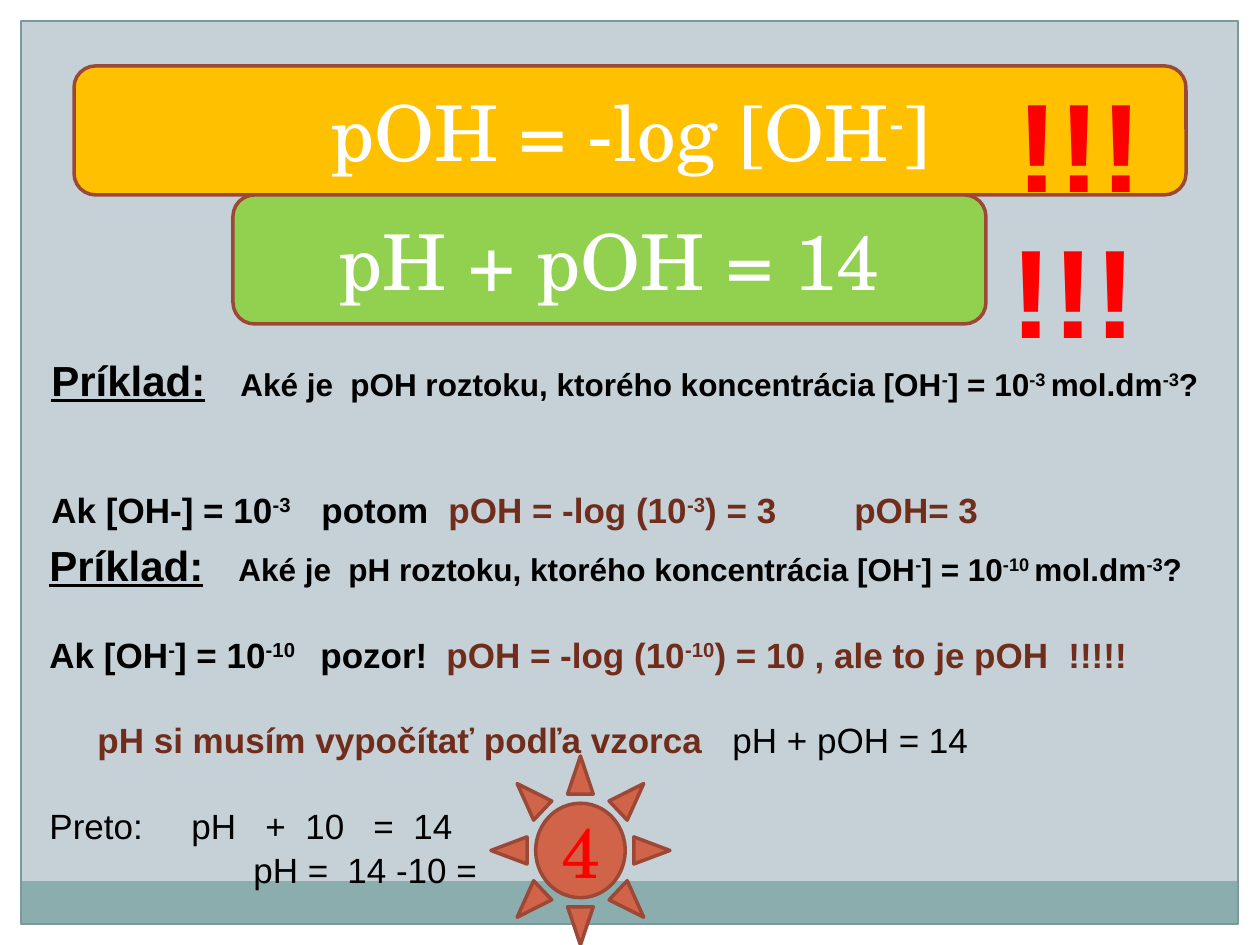
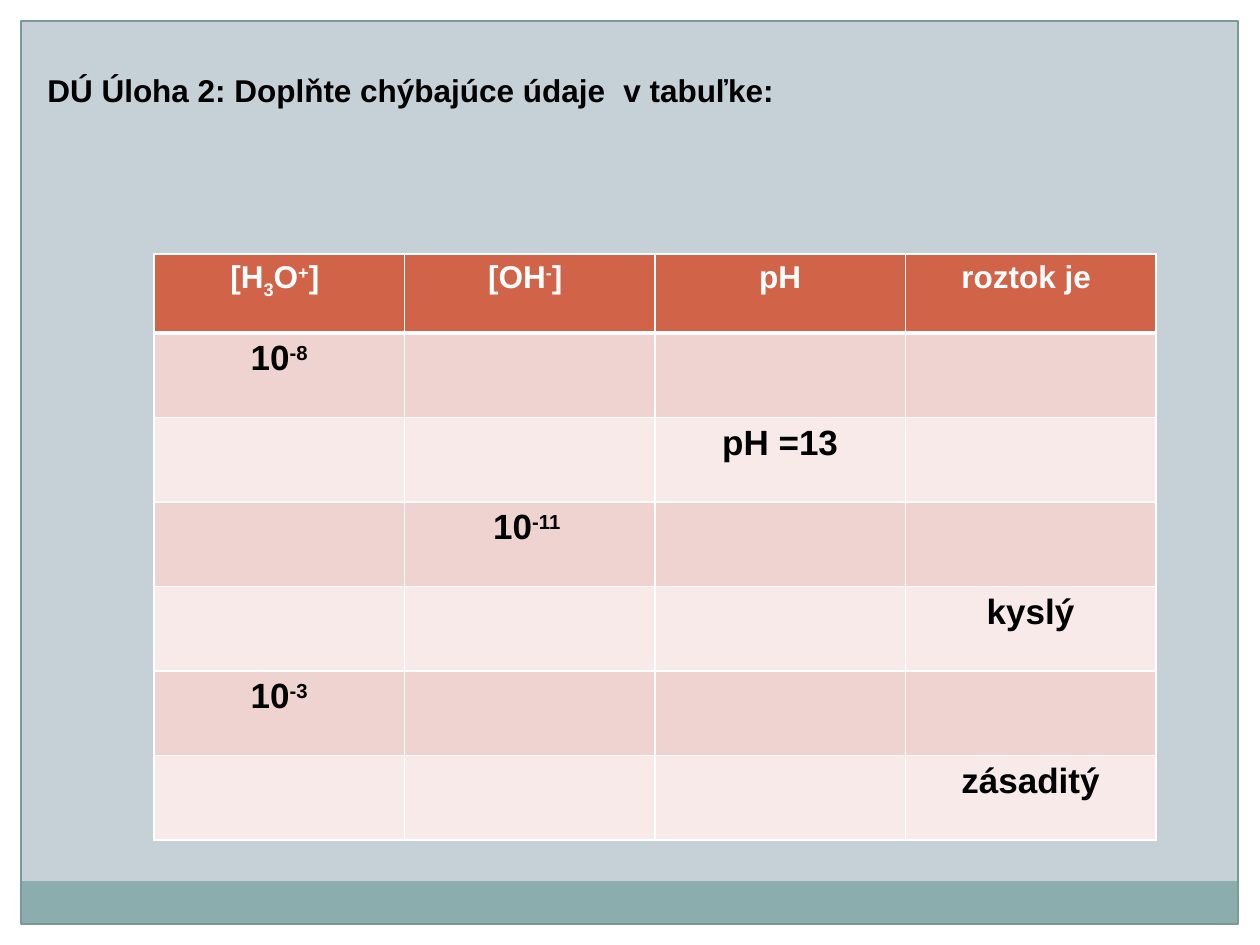
"""Build two chemistry slides: pOH formulas with worked examples, and a table to fill in."""
import lxml.etree
import pptx
import pptx.dml.color
import pptx.enum.shapes
import pptx.enum.text
import pptx.oxml.ns
import pptx.util

KIND = pptx.enum.shapes.MSO_SHAPE
ALIGN = pptx.enum.text.PP_ALIGN
MID = pptx.enum.text.MSO_ANCHOR.MIDDLE
PX = 914400 / 126

THEME = {
    "page": "C5D1D7", "white": "FFFFFF", "band": "8CADAE", "frame": "7C999A",
    "gold": "FFC000", "green": "92D050", "coral": "D16349", "edge": "9B4936",
    "glow": "CC5A3F", "odd": "EED3D0", "even": "F7EAE9",
}
STYLES = {
    "big": ("FFFFFF", {"name": "TeX Gyre Schola", "size": 44}),
    "sum": ("FF0000", {"name": "TeX Gyre Schola", "size": 40}),
    "bang": ("FF0000", {"name": "Arial", "size": 72, "bold": True}),
    "head": ("000000", {"name": "Arial", "size": 24, "bold": True, "underline": True}),
    "gap": ("000000", {"name": "Arial", "size": 24, "bold": True}),
    "ask": ("000000", {"name": "Arial", "size": 18, "bold": True}),
    "step": ("000000", {"name": "Arial", "size": 20, "bold": True}),
    "key": ("712D1C", {"name": "Arial", "size": 20, "bold": True}),
    "calm": ("000000", {"name": "Arial", "size": 20, "bold": False}),
    "top": ("FFFFFF", {"name": "Arial", "size": 18, "bold": True}),
}

FRAME = [
    ((0, 924, 1260, 21), "white", None),
    ((0, 0, 1260, 21), "white", None),
    ((1239, 0, 21, 945), "white", None),
    ((0, 0, 21, 945), "white", None),
    ((21, 881, 1217, 43), "band", None),
    ((21, 21, 1217, 903), None, ("frame", 0.75)),
]
CARDS = [
    ("ROUNDED_RECTANGLE", (74, 66, 1112, 129), "gold", "pOH = -log [OH^-^]", "big"),
    ("ROUNDED_RECTANGLE", (233, 195, 753, 129), "green", "pH + pOH = 14", "big"),
]
SUN = ("SUN", (491, 756, 179, 189), "coral", "4", "sum")
BANGS = [(964, 194, 218, 165), (970, 48, 218, 165)]

# Each line: space before in points, tab stops in px, runs; ^ toggles superscript, ^_ subscript.
FIRST = [
    (0, (189, 299), [("Príklad:", "head"), ("\t", "gap"),
     ("Aké je\tpOH roztoku, ktorého koncentrácia [OH^-^] = 10^-3 ^mol.dm^-3^?", "ask")]),
    (48, (270, 397, 803), [("Ak [OH-] = 10^-3^\tpotom\t", "step"),
     ("pOH = -log (10^-3^) = 3\tpOH= 3", "key")]),
]
SECOND = [
    (0, (189, 299), [("Príklad:", "head"), ("\t", "gap"),
     ("Aké je\tpH roztoku, ktorého koncentrácia [OH^-^] = 10^-10 ^mol.dm^-3^?", "ask")]),
    (25, (271, 397, 1019), [("Ak [OH^-^] = 10^-10^\tpozor!\t", "step"),
     ("pOH = -log (10^-10^) = 10 , ale to je pOH\t!!!!!", "key")]),
    (25, (48, 683), [("\tpH si musím vypočítať podľa vzorca\t", "key"),
     ("pH + pOH = 14", "calm")]),
    (25, (142, 216, 256, 324, 364), [("Preto:\tpH\t+\t10\t=\t14", "calm")]),
    (1, (204, 298), [("\tpH =\t14 -10 =", "calm")]),
]
TASK = [(0, (576,), [("DÚ Úloha 2: Doplňte chýbajúce údaje\tv tabuľke:", "ask")])]
GRID = [
    ("[H^_3^O^+^] ", "[OH^-^] ", "pH", "roztok je "),
    ("10^-8^", "", "", ""),
    ("", "", "pH =13", ""),
    ("", "10^-11 ^", "", ""),
    ("", "", "", "kyslý"),
    ("10^-3^", "", "", ""),
    ("", "", "", "zásaditý"),
]
PLACE, HEAD = (154, 254, 1002, 586), 79


def emu(n):
    return pptx.util.Emu(round(n * PX))


def tint(name):
    return pptx.dml.color.RGBColor.from_string(THEME.get(name, name))


def put(obj, **vals):
    for name, val in vals.items():
        setattr(obj, name, val)


def stroke(home, tag, color, width):
    """Add a solid line element to a run or cell."""
    line = lxml.etree.SubElement(home, pptx.oxml.ns.qn(tag), w=str(pptx.util.Pt(width)))
    fill = lxml.etree.SubElement(line, pptx.oxml.ns.qn("a:solidFill"))
    lxml.etree.SubElement(fill, pptx.oxml.ns.qn("a:srgbClr"), val=THEME[color])
    return line


def write(para, text, style):
    """Write runs in a named style, with raised and lowered parts."""
    color, vals = STYLES[style]
    for n, part in enumerate(text.split("^")):
        if not part:
            continue
        run = para.add_run()
        run.text = part.lstrip("_")
        put(run.font, **{**vals, "size": pptx.util.Pt(vals["size"])})
        run.font.color.rgb = tint(color)
        if n % 2:
            low = part.startswith("_")
            run._r.get_or_add_rPr().set("baseline", "-25000" if low else "30000")
    return para


def shape(slide, kind, place, fill, line):
    box = slide.shapes.add_shape(getattr(KIND, kind), *map(emu, place))
    box.shadow.inherit = False
    if fill:
        box.fill.solid()
        box.fill.fore_color.rgb = tint(fill)
    else:
        box.fill.background()
    if line:
        box.line.color.rgb = tint(line[0])
        box.line.width = pptx.util.Pt(line[1])
    else:
        box.line.fill.background()
    return box


def card(slide, kind, place, fill, text, style):
    box = shape(slide, kind, place, fill, ("edge", 2))
    put(box.text_frame, vertical_anchor=MID, word_wrap=True)
    para = write(box.text_frame.paragraphs[0], text, style)
    para.alignment = ALIGN.CENTER


def block(slide, place, lines, align=ALIGN.LEFT):
    """Add a text box whose lines use tab stops and spacing."""
    frame = slide.shapes.add_textbox(*map(emu, place)).text_frame
    size = STYLES[lines[0][2][0][1]][1]["size"]
    put(frame, word_wrap=True, margin_top=emu(6 + size * 0.17))
    for n, (space, stops, runs) in enumerate(lines):
        para = frame.add_paragraph() if n else frame.paragraphs[0]
        if stops:
            tabs = lxml.etree.SubElement(para._p.get_or_add_pPr(), pptx.oxml.ns.qn("a:tabLst"))
            for stop in stops:
                lxml.etree.SubElement(tabs, pptx.oxml.ns.qn("a:tab"), pos=str(emu(stop)), algn="l")
        if space:
            para.space_before = pptx.util.Pt(space)
        para.alignment = align
        for text, style in runs:
            write(para, text, style)
    return frame


def table(slide):
    left, top, wide, high = PLACE
    grid = slide.shapes.add_table(len(GRID), len(GRID[0]), *map(emu, PLACE)).table
    for col in grid.columns:
        col.width = emu(wide / len(GRID[0]))
    for r, row in enumerate(GRID):
        grid.rows[r].height = emu(HEAD if r == 0 else (high - HEAD) / (len(GRID) - 1))
        for c, text in enumerate(row):
            cell = grid.cell(r, c)
            for side in "LRTB":
                thick = (r, side) in ((0, "B"), (1, "T"))
                stroke(cell._tc.get_or_add_tcPr(), "a:ln" + side, "white", 3 if thick else 1)
            cell.fill.solid()
            cell.fill.fore_color.rgb = tint("coral" if r == 0 else "odd" if r % 2 else "even")
            para = write(cell.text_frame.paragraphs[0], text, "step" if r else "top")
            para.alignment = ALIGN.CENTER


def dress(layout, slide):
    """Give the layout its background and frame, drawn through a slide."""
    layout.background.fill.solid()
    layout.background.fill.fore_color.rgb = tint("page")
    for old in list(layout.placeholders):
        old.element.getparent().remove(old.element)
    for place, fill, line in FRAME:
        layout.shapes.element.append(shape(slide, "RECTANGLE", place, fill, line).element)


def main():
    deck = pptx.Presentation()
    put(deck, slide_width=emu(1260), slide_height=emu(945))
    layout = deck.slide_layouts[6]
    rules, task = [deck.slides.add_slide(layout) for _ in range(2)]
    dress(layout, rules)
    for item in CARDS:
        card(rules, *item)
    for place in BANGS:
        frame = block(rules, place, [(0, (), [("!!!", "bang")])], ALIGN.CENTER)
        props = frame.paragraphs[0].runs[0]._r.get_or_add_rPr()
        props.insert(0, stroke(props, "a:ln", "glow", 0.83))
    block(rules, (39, 344, 1181, 186), FIRST)
    block(rules, (37, 529, 1181, 441), SECOND)
    card(rules, *SUN)
    block(task, (35, 62, 1022, 50), TASK)
    table(task)
    deck.save("out.pptx")


if __name__ == "__main__":
    main()
